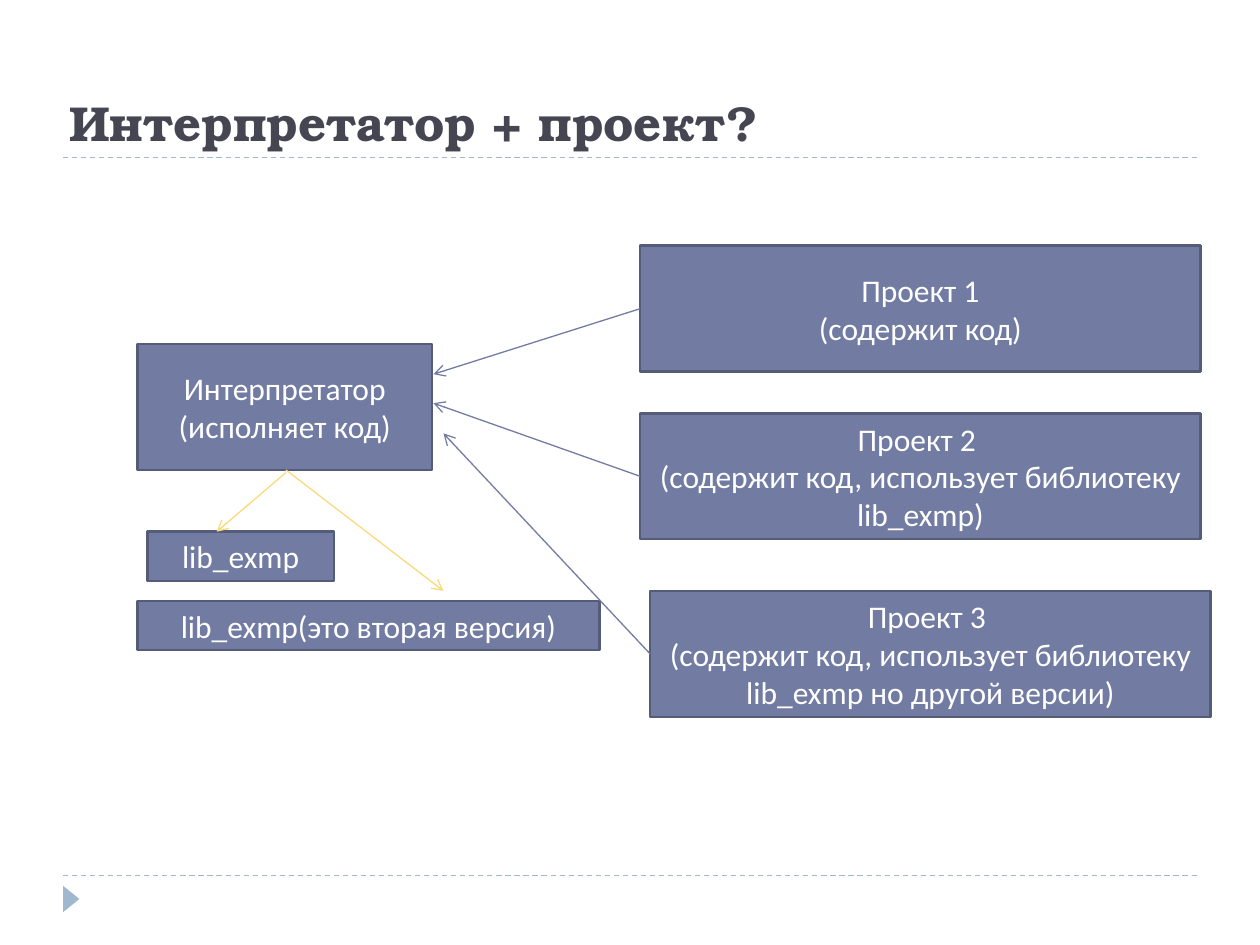
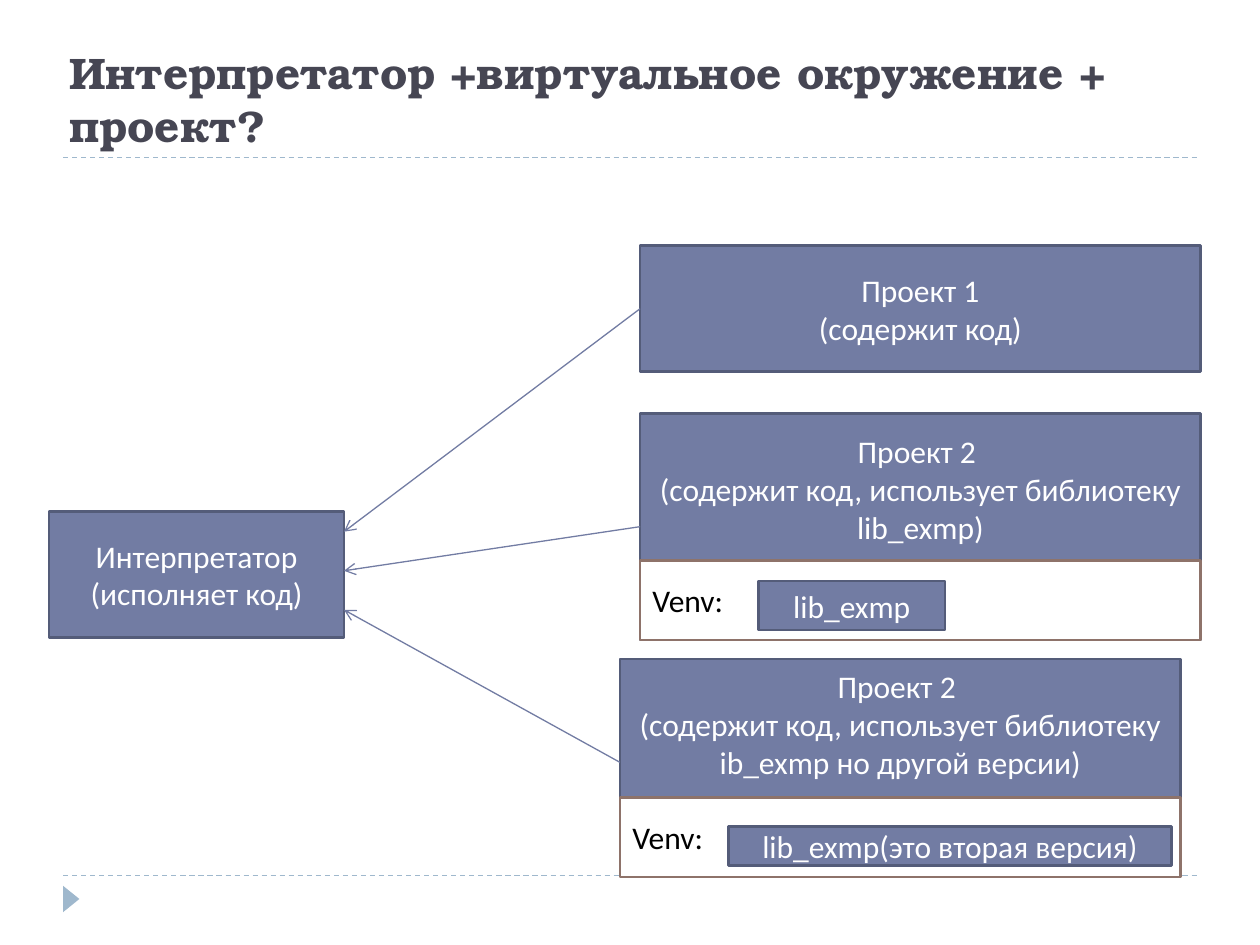
from dataclasses import dataclass

from lxml import etree
from pptx import Presentation
from pptx.dml.color import RGBColor
from pptx.enum.dml import MSO_LINE
from pptx.enum.shapes import MSO_CONNECTOR, MSO_SHAPE
from pptx.enum.text import MSO_ANCHOR, PP_ALIGN
from pptx.oxml.ns import qn
from pptx.util import Inches, Pt

STRAIGHT = MSO_CONNECTOR.STRAIGHT
RECTANGLE = MSO_SHAPE.RECTANGLE
TRIANGLE = MSO_SHAPE.ISOSCELES_TRIANGLE
DASH = MSO_LINE.DASH
MIDDLE, BOTTOM = MSO_ANCHOR.MIDDLE, MSO_ANCHOR.BOTTOM
LEFT, CENTER = PP_ALIGN.LEFT, PP_ALIGN.CENTER

# Shared look
BODY_FONT, TITLE_FONT = "Calibri", "TeX Gyre Bonum"
WHITE, BLACK = "FFFFFF", "000000"
TITLE_INK, RULE_BLUE = "464653", "9FB8CD"
BOX_FILL, BOX_EDGE = "727CA3", "545C79"
VENV_EDGE, LIBRARY_ARROW = "8E736A", "FADA7A"

# Shared sizes, in inches
PROJECT_X, PROJECT_W = 5.08, 4.45
BOX_H, LIBRARY_H, VENV_H = 1.0, 0.39, 0.63
INTERPRETER_W, LIBRARY_W = 2.34, 1.48
VENV_ROOM = 0.6  # kept free of text below a project's description

# Shared wording
INTERPRETER = "Интерпретатор\n(исполняет код)"
PROJECT_1 = "Проект 1\n(содержит код)"
PROJECT_2 = "Проект 2 \n(содержит код, использует библиотеку lib_exmp)"
LIBRARY = "lib_exmp"
LIBRARY_V2 = "lib_exmp(это вторая версия)"


@dataclass
class Box:
    text: str
    x: float
    y: float
    w: float
    h: float = BOX_H
    room_below: float = 0
    fill: str = BOX_FILL
    edge: str = BOX_EDGE
    ink: str = WHITE
    align: PP_ALIGN = CENTER


@dataclass
class Arrow:
    start: tuple[float, float]
    end: tuple[float, float]
    color: str = BOX_FILL


def rgb(value: str) -> RGBColor:
    return RGBColor.from_string(value)


def write(frame, text: str, font: str, size: float, ink: str,
          align: PP_ALIGN, bold: bool = False) -> None:
    frame.word_wrap = True
    frame.text = text
    for paragraph in frame.paragraphs:
        paragraph.alignment = align
        for run in paragraph.runs:
            run.font.name = font
            run.font.size = Pt(size)
            run.font.bold = bold
            run.font.color.rgb = rgb(ink)


def draw_line(slide, start: tuple[float, float], end: tuple[float, float], color: str):
    line = slide.shapes.add_connector(
        STRAIGHT, *(Inches(value) for value in (*start, *end)))
    line.line.color.rgb = rgb(color)
    line.line.width = Pt(0.75)
    etree.SubElement(line._element.spPr, qn("a:effectLst"))
    return line


def draw_arrow(slide, arrow: Arrow) -> None:
    line = draw_line(slide, arrow.start, arrow.end, arrow.color)
    etree.SubElement(line.line._get_or_add_ln(), qn("a:tailEnd"), type="arrow")


def draw_box(slide, box: Box) -> None:
    shape = slide.shapes.add_shape(
        RECTANGLE, Inches(box.x), Inches(box.y), Inches(box.w), Inches(box.h))
    shape.shadow.inherit = False
    shape.fill.solid()
    shape.fill.fore_color.rgb = rgb(box.fill)
    shape.line.color.rgb = rgb(box.edge)
    shape.line.width = Pt(1.5)
    frame = shape.text_frame
    frame.vertical_anchor = MIDDLE
    frame.margin_bottom = Inches(0.05 + box.room_below)
    write(frame, box.text, BODY_FONT, 18, box.ink, box.align)


def venv_box(x: float, y: float) -> Box:
    return Box("Venv:", x, y, PROJECT_W, VENV_H, fill=WHITE, edge=VENV_EDGE,
               ink=BLACK, align=LEFT)


def add_titled_slide(deck, title: str, title_size: float):
    slide = deck.slides.add_slide(deck.slide_layouts[6])

    # Dashed rules and the footer marker
    for y in (6.95, 1.25):
        draw_line(slide, (0.5, y), (9.5, y), RULE_BLUE).line.dash_style = DASH
    marker = slide.shapes.add_shape(
        TRIANGLE, Inches(0.46), Inches(7.07), Inches(0.21), Inches(0.13))
    marker.rotation = 90
    marker.shadow.inherit = False
    marker.fill.solid()
    marker.fill.fore_color.rgb = rgb(RULE_BLUE)
    marker.line.fill.background()

    # Title
    heading = slide.shapes.add_textbox(
        Inches(0.45), Inches(0.46), Inches(9), Inches(0.79)).text_frame
    heading.vertical_anchor = BOTTOM
    write(heading, title, TITLE_FONT, title_size, TITLE_INK, LEFT, bold=True)
    return slide


def build_shared_interpreter(deck) -> None:
    slide = add_titled_slide(deck, "Интерпретатор + проект?", 28)
    for box in (
        Box(INTERPRETER, 1.09, 2.73, INTERPRETER_W),
        Box(PROJECT_1, PROJECT_X, 1.95, PROJECT_W),
        Box(PROJECT_2, PROJECT_X, 3.28, PROJECT_W),
        Box("Проект 3 \n(содержит код, использует библиотеку lib_exmp но другой версии)",
            5.16, 4.69, PROJECT_W),
        Box(LIBRARY, 1.17, 4.22, LIBRARY_W, LIBRARY_H),
        Box(LIBRARY_V2, 1.09, 4.77, 3.67, LIBRARY_H),
    ):
        draw_box(slide, box)

    # Projects to the interpreter, then the interpreter to its libraries
    for arrow in (
        Arrow((PROJECT_X, 2.45), (3.44, 2.97)),
        Arrow((PROJECT_X, 3.78), (3.44, 3.2)),
        Arrow((5.16, 5.19), (3.52, 3.44)),
        Arrow((2.27, 3.73), (3.52, 4.69), LIBRARY_ARROW),
        Arrow((2.27, 3.75), (1.72, 4.22), LIBRARY_ARROW),
    ):
        draw_arrow(slide, arrow)


def build_virtual_environments(deck) -> None:
    slide = add_titled_slide(
        deck, "Интерпретатор +виртуальное окружение + проект?", 25.2)
    last_x = 4.92
    for box in (
        Box(INTERPRETER, 0.39, 4.06, INTERPRETER_W),
        Box(PROJECT_1, PROJECT_X, 1.95, PROJECT_W),
        Box(PROJECT_2, PROJECT_X, 3.28, PROJECT_W, 1.8, VENV_ROOM),
        Box("Проект 2 \n(содержит код, использует библиотеку ib_exmp но другой версии)",
            last_x, 5.23, PROJECT_W, 1.63, VENV_ROOM),
    ):
        draw_box(slide, box)

    # Projects to the interpreter
    interpreter_right = 0.39 + INTERPRETER_W
    for start, end_y in (
        ((PROJECT_X, 2.45), 4.22),
        ((PROJECT_X, 4.18), 4.53),
        ((last_x, 6.05), 4.84),
    ):
        draw_arrow(slide, Arrow(start, (interpreter_right, end_y)))

    # Each environment with its own library
    for box in (
        venv_box(PROJECT_X, 4.45),
        Box(LIBRARY, 6.02, 4.61, LIBRARY_W, LIBRARY_H),
        venv_box(last_x, 6.33),
        Box(LIBRARY_V2, 5.78, 6.56, 3.52, 0.31),
    ):
        draw_box(slide, box)


def main() -> None:
    deck = Presentation()
    deck.slide_width, deck.slide_height = Inches(10), Inches(7.5)
    build_shared_interpreter(deck)
    build_virtual_environments(deck)
    deck.save("out.pptx")


if __name__ == "__main__":
    main()
